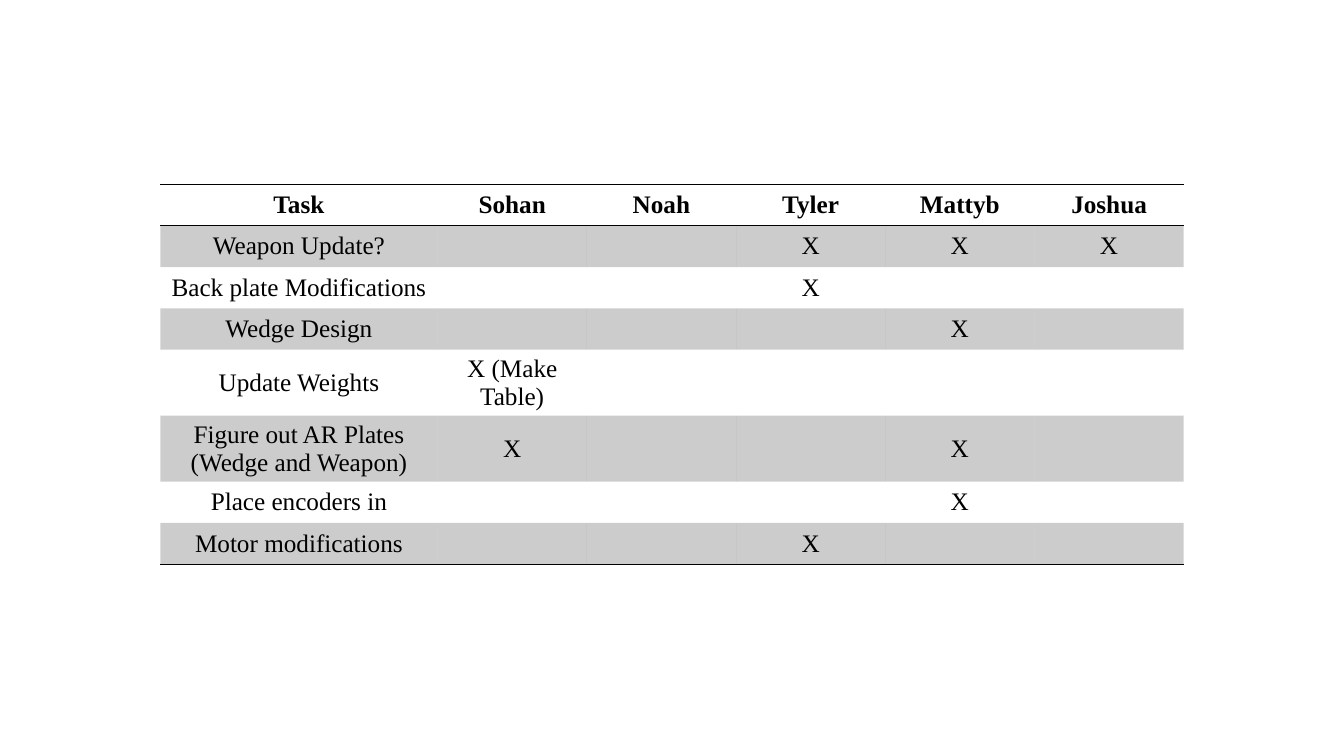
from lxml import etree
from pptx import Presentation
from pptx.dml.color import RGBColor
from pptx.enum.text import MSO_ANCHOR, PP_ALIGN
from pptx.oxml.ns import qn
from pptx.util import Inches, Pt

COLORS = {"ink": "000000"}
NO_STYLE = "{2D5ABB26-0587-4C30-8999-92F81FD0307C}"
BAND_ALPHA = 20
MEMBERS = ["Sohan", "Noah", "Tyler", "Mattyb", "Joshua"]
TASKS = [
    ("Weapon Update?", {"Tyler": "X", "Mattyb": "X", "Joshua": "X"}),
    ("Back plate Modifications", {"Tyler": "X"}),
    ("Wedge Design", {"Mattyb": "X"}),
    ("Update Weights", {"Sohan": "X (Make Table)"}),
    ("Figure out AR Plates (Wedge and Weapon)", {"Sohan": "X", "Mattyb": "X"}),
    ("Place encoders in", {"Mattyb": "X"}),
    ("Motor modifications", {"Tyler": "X"}),
]
TWO_LINE_ROWS = (4, 5)


def add_borders(cell, sides):
    tc_pr = cell._tc.get_or_add_tcPr()
    for i, side in enumerate(sides):
        ln = etree.Element(qn(f"a:ln{side}"), w=str(Pt(1)))
        fill = etree.SubElement(ln, qn("a:solidFill"))
        etree.SubElement(fill, qn("a:srgbClr"), val=COLORS["ink"])
        tc_pr.insert(i, ln)


def fill_band(cell):
    cell.fill.solid()
    cell.fill.fore_color.rgb = RGBColor.from_string(COLORS["ink"])
    clr = cell._tc.tcPr.find(qn("a:solidFill")).find(qn("a:srgbClr"))
    etree.SubElement(clr, qn("a:alpha"), val=str(BAND_ALPHA * 1000))


prs = Presentation()
prs.slide_width, prs.slide_height = Inches(13.33), Inches(7.5)
s = prs.slides.add_slide(prs.slide_layouts[6])

rows = [["Task"] + MEMBERS]
rows += [[task] + [marks.get(m, "") for m in MEMBERS] for task, marks in TASKS]
last = len(rows) - 1

frame = s.shapes.add_table(len(rows), len(rows[0]), Inches(1.59), Inches(1.83),
                           Inches(10.16), Inches(3.76))
table = frame.table
table._tbl.tblPr.find(qn("a:tableStyleId")).text = NO_STYLE
for c, col in enumerate(table.columns):
    col.width = Inches(1.48 if c else 2.75)

for r, texts in enumerate(rows):
    table.rows[r].height = Inches(0.65 if r in TWO_LINE_ROWS else 0.41)
    font = {"name": "Times New Roman", "size": Pt(18), "bold": r == 0}
    for c, text in enumerate(texts):
        cell = table.cell(r, c)
        cell.vertical_anchor = MSO_ANCHOR.MIDDLE
        p = cell.text_frame.paragraphs[0]
        p.alignment = PP_ALIGN.CENTER
        if text:
            run = p.add_run()
            run.text = text
            for key, value in font.items():
                setattr(run.font, key, value)
            run.font.color.rgb = RGBColor.from_string(COLORS["ink"])
        if r % 2:
            fill_band(cell)
        add_borders(cell, {0: "TB", last: "B"}.get(r, ""))

prs.save("out.pptx")
